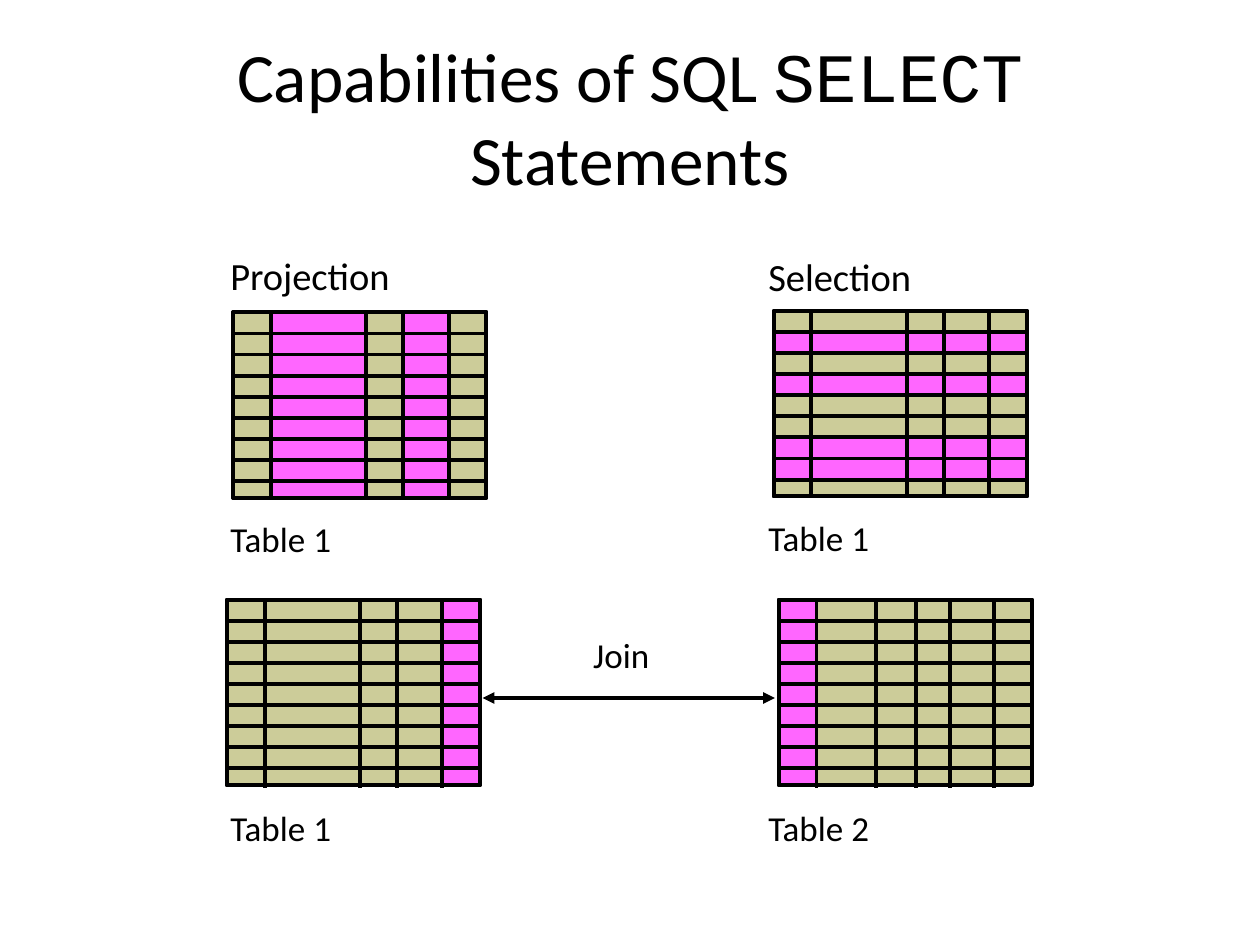
import pptx
import pptx.util
import pptx.dml.color
import pptx.enum.shapes
import pptx.enum.text
import pptx.oxml
import pptx.oxml.ns

RGBColor = pptx.dml.color.RGBColor
BLACK = RGBColor(0x00, 0x00, 0x00)
KHAKI = RGBColor(0xCC, 0xCC, 0x99)
PINK = RGBColor(0xFF, 0x66, 0xFF)

COLS, ROWS = 100, 75
W, H = pptx.util.Inches(10), pptx.util.Inches(7.5)
GRID_W, GRID_H = 20.1, 14.7
TABLE_ROWS = 9
ROW_STEP = 1.67
FIVE_COLUMNS = [0, 3, 10.55, 13.5, 17.1, GRID_W]
SIX_COLUMNS = [0, 3, 7.7, 10.9, 13.6, 17.1, GRID_W]
ROW_EDGES = [i * ROW_STEP for i in range(TABLE_ROWS)] + [GRID_H]


def col(n):
    return round(W * n / COLS)


def row(n):
    return round(H * n / ROWS)


def add_text(s, box, runs, wrap=False, align=None, anchor=None):
    x, y, w, h = box
    sp = s.shapes.add_textbox(col(x), row(y), col(w), row(h))
    tf = sp.text_frame
    tf.word_wrap = wrap
    if anchor is not None:
        tf.vertical_anchor = anchor
    p = tf.paragraphs[0]
    p.alignment = align
    for text, font, size in runs:
        r = p.add_run()
        r.text = text
        r.font.name = font
        r.font.size = pptx.util.Pt(size)
        r.font.color.rgb = BLACK


def add_label(s, x, y, w, text, size=20):
    add_text(s, (x, y, w, size * 0.215), [(text, "Calibri", size)])


def add_rect(s, x, y, w, h, fill=None, outlined=False):
    sp = s.shapes.add_shape(pptx.enum.shapes.MSO_SHAPE.RECTANGLE,
                            col(x), row(y), col(w), row(h))
    sp.shadow.inherit = False
    if fill is None:
        sp.fill.background()
    else:
        sp.fill.solid()
        sp.fill.fore_color.rgb = fill
    if outlined:
        sp.line.color.rgb = BLACK
        sp.line.width = pptx.util.Pt(2.25)
    else:
        sp.line.fill.background()


def add_line(s, x1, y1, x2, y2, arrows=False):
    sp = s.shapes.add_connector(pptx.enum.shapes.MSO_CONNECTOR.STRAIGHT,
                                col(x1), row(y1), col(x2), row(y2))
    sp.line.color.rgb = BLACK
    sp.line.width = pptx.util.Pt(2.25)
    props = sp._element.spPr
    if arrows:
        ln = props.find(pptx.oxml.ns.qn("a:ln"))
        for end in ("headEnd", "tailEnd"):
            ln.append(pptx.oxml.parse_xml(
                f'<a:{end} {pptx.oxml.ns.nsdecls("a")} type="triangle"/>'))
    props.append(pptx.oxml.parse_xml(
        f'<a:effectLst {pptx.oxml.ns.nsdecls("a")}/>'))


def add_grid(s, x, y, edges, pink_columns=(), pink_rows=(), overhang=0.2):
    add_rect(s, x, y, GRID_W, GRID_H, KHAKI, outlined=True)
    for i in pink_columns:
        add_rect(s, x + edges[i], y + 0.1, edges[i + 1] - edges[i], GRID_H - 0.2, PINK)
    for first, last in pink_rows:
        top, bottom = ROW_EDGES[first], ROW_EDGES[last]
        add_rect(s, x + 0.1, y + top, GRID_W - 0.1, bottom - top, PINK)
    for edge in ROW_EDGES[1:-1]:
        add_line(s, x, y + edge, x + GRID_W + 0.1, y + edge)
    for edge in edges[1:-1]:
        add_line(s, x + edge, y, x + edge, y + GRID_H + overhang)
    add_rect(s, x, y, GRID_W, GRID_H, outlined=True)


def add_title(s, box):
    add_text(s, box,
             [("Capabilities of SQL ", "Calibri", 39.6),
              ("SELECT", "Courier New", 39.6),
              (" Statements", "Calibri", 39.6)],
             wrap=True, align=pptx.enum.text.PP_ALIGN.CENTER,
             anchor=pptx.enum.text.MSO_ANCHOR.MIDDLE)


def add_projection(s, x, y):
    add_label(s, x - 1.2, y - 5.3, 17, "Projection", 22)
    add_grid(s, x, y, FIVE_COLUMNS, pink_columns=(1, 3))
    add_label(s, x - 1.2, y + 15.8, 11.6, "Table 1")


def add_selection(s, x, y):
    add_label(s, x - 1.4, y - 5.1, 15.6, "Selection", 22)
    add_grid(s, x, y, FIVE_COLUMNS, pink_rows=((1, 2), (3, 4), (6, 8)), overhang=0)
    add_label(s, x - 1.4, y + 15.8, 11.6, "Table 1")


def add_join(s, left, right, y):
    add_grid(s, left, y, FIVE_COLUMNS, pink_columns=(4,))
    add_grid(s, right, y, SIX_COLUMNS, pink_columns=(0,))
    add_label(s, left - 0.7, y + 15.9, 11.6, "Table 1")
    add_label(s, right - 1.8, y + 15.9, 11.6, "Table 2")
    add_label(s, left + 28.1, y + 2.2, 7.7, "Join")
    add_line(s, left + GRID_W + 0.2, y + 7.8, right - 0.3, y + 7.8, arrows=True)


def main():
    prs = pptx.Presentation()
    prs.slide_width, prs.slide_height = W, H
    s = prs.slides.add_slide(prs.slide_layouts[6])
    add_title(s, (5, 3, 90, 12.5))
    add_projection(s, 18.5, 24.8)
    add_selection(s, 61.4, 24.7)
    add_join(s, 18, 61.8, 47.6)
    prs.save("out.pptx")


if __name__ == "__main__":
    main()
